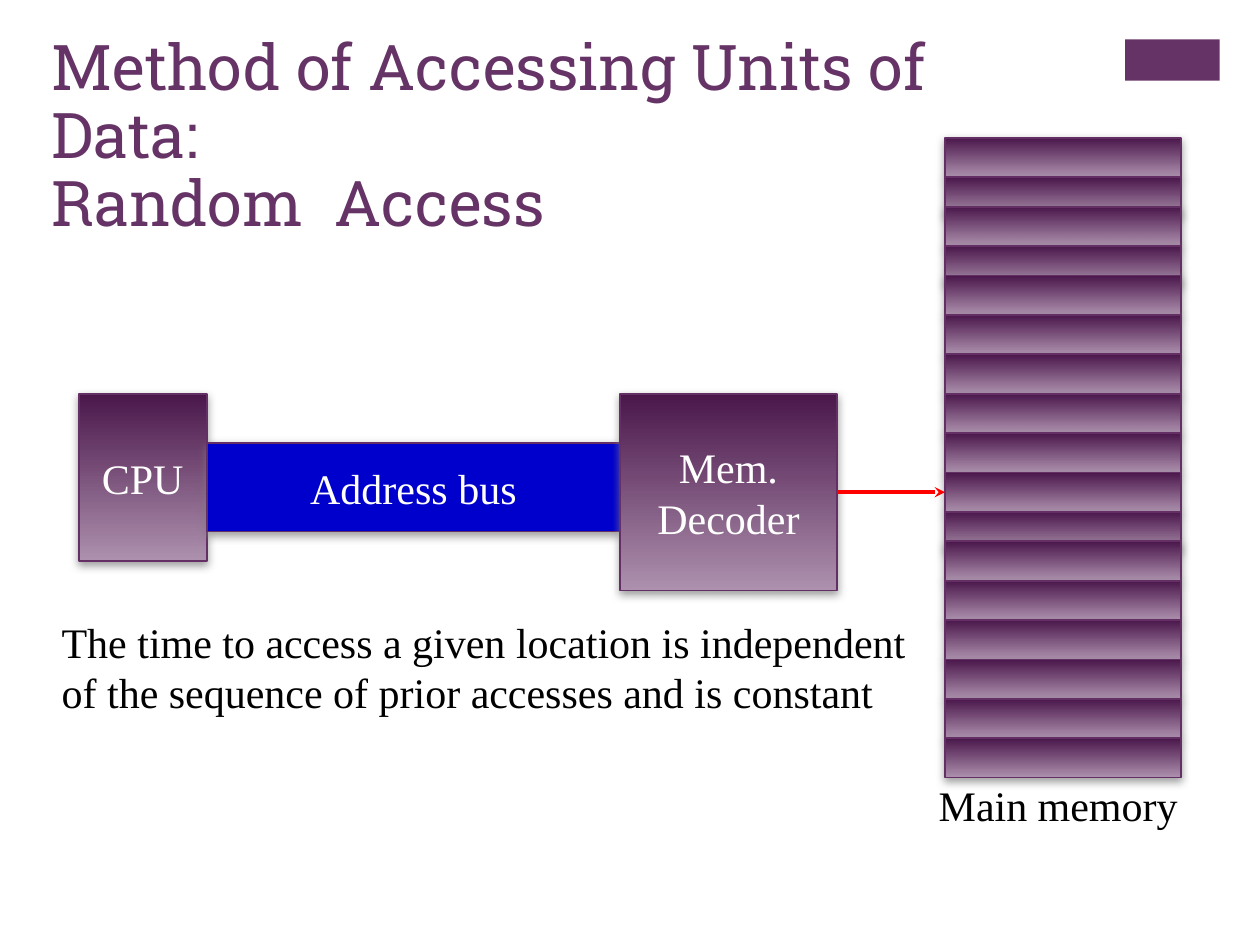
import pptx
import pptx.util
import pptx.dml.color
import pptx.enum.shapes
import pptx.enum.text
import pptx.oxml
import pptx.oxml.ns

theme = {
    "plum": "663366", "dark": "4A174B", "light": "AD90AE", "edge": "642F64",
    "bus": "0000CC", "arrow": "FF0000", "shade": "808080",
    "white": "FFFFFF", "black": "000000",
    "head": 36, "body": 24, "slab": "Roboto Slab", "serif": "Times New Roman",
}
scale = 914400 / 128
align = pptx.enum.text.PP_ALIGN
rect = pptx.enum.shapes.MSO_SHAPE.RECTANGLE
space = pptx.oxml.ns.nsdecls("a")


def px(*sizes):
    return [pptx.util.Emu(round(size * scale)) for size in sizes]


def write(shape, lines, color, side=align.LEFT, size="body", face="serif"):
    frame = shape.text_frame
    frame.word_wrap = True
    for i, line in enumerate(lines):
        para = frame.add_paragraph() if i else frame.paragraphs[0]
        para.alignment = side
        if size == "head":
            para.line_spacing = 0.9
        run = para.add_run()
        run.text = line
        run.font.size = pptx.util.Pt(theme[size])
        run.font.name = theme[face]
        run.font.color.rgb = pptx.dml.color.RGBColor.from_string(theme[color])


deck = pptx.Presentation()
deck.slide_width, deck.slide_height = px(1280, 960)
slide = deck.slides.add_slide(deck.slide_layouts[6])
shapes = slide.shapes
rgb = pptx.dml.color.RGBColor.from_string

badge = shapes.add_shape(rect, *px(1143, 40, 96, 42))
badge.shadow.inherit = False
badge.fill.solid()
badge.fill.fore_color.rgb = rgb(theme["plum"])
badge.line.fill.background()

title = shapes.add_textbox(*px(40, 30, 1057, 178))
write(title, ["Method of Accessing Units of Data:", "Random  Access"],
      "plum", size="head", face="slab")

blocks = [
    (80, 400, 130, 170, "CPU"),
    (210, 450, 420, 90, "Address bus"),
    (630, 400, 220, 200, "Mem. Decoder"),
]
top = 140
for row in range(17):
    blocks.append((960, top, 240, 40, ""))
    top += 30 if row in (1, 3, 10) else 40

for left, top, width, height, label in blocks:
    block = shapes.add_shape(rect, *px(left, top, width, height))
    if label == "Address bus":
        block.fill.solid()
        block.fill.fore_color.rgb = rgb(theme["bus"])
    else:
        block.fill.gradient()
        block.fill.gradient_angle = 270
        for stop, tone, place in zip(block.fill.gradient_stops, ("dark", "light"), (0, 1)):
            stop.color.rgb = rgb(theme[tone])
            stop.position = place
    block.line.color.rgb = rgb(theme["edge"])
    block.line.width = pptx.util.Pt(1)
    block.shadow.inherit = False
    glow = block._element.spPr.find(pptx.oxml.ns.qn("a:effectLst"))
    glow.append(pptx.oxml.parse_xml(
        f'<a:outerShdw {space} blurRad="63500" dist="25400" dir="5400000" rotWithShape="0">'
        f'<a:srgbClr val="{theme["shade"]}"><a:alpha val="75000"/></a:srgbClr></a:outerShdw>'))
    if label:
        block.text_frame.vertical_anchor = pptx.enum.text.MSO_ANCHOR.MIDDLE
        write(block, [label], "white", align.CENTER)

arrow = shapes.add_connector(pptx.enum.shapes.MSO_CONNECTOR.STRAIGHT, *px(850, 500, 960, 500))
arrow.line.color.rgb = rgb(theme["arrow"])
arrow.line.width = pptx.util.Pt(2)
arrow.line._get_or_add_ln().append(pptx.oxml.parse_xml(f'<a:tailEnd {space} type="stealth"/>'))
arrow._element.spPr.append(pptx.oxml.parse_xml(f"<a:effectLst {space}/>"))

note = shapes.add_textbox(*px(50, 620, 900, 117))
write(note, ["The time to access a given location is independent of the sequence "
             "of prior accesses and is constant"], "black")
name = shapes.add_textbox(*px(930, 786, 290, 64))
write(name, ["Main memory"], "black", align.CENTER)

deck.save("out.pptx")
